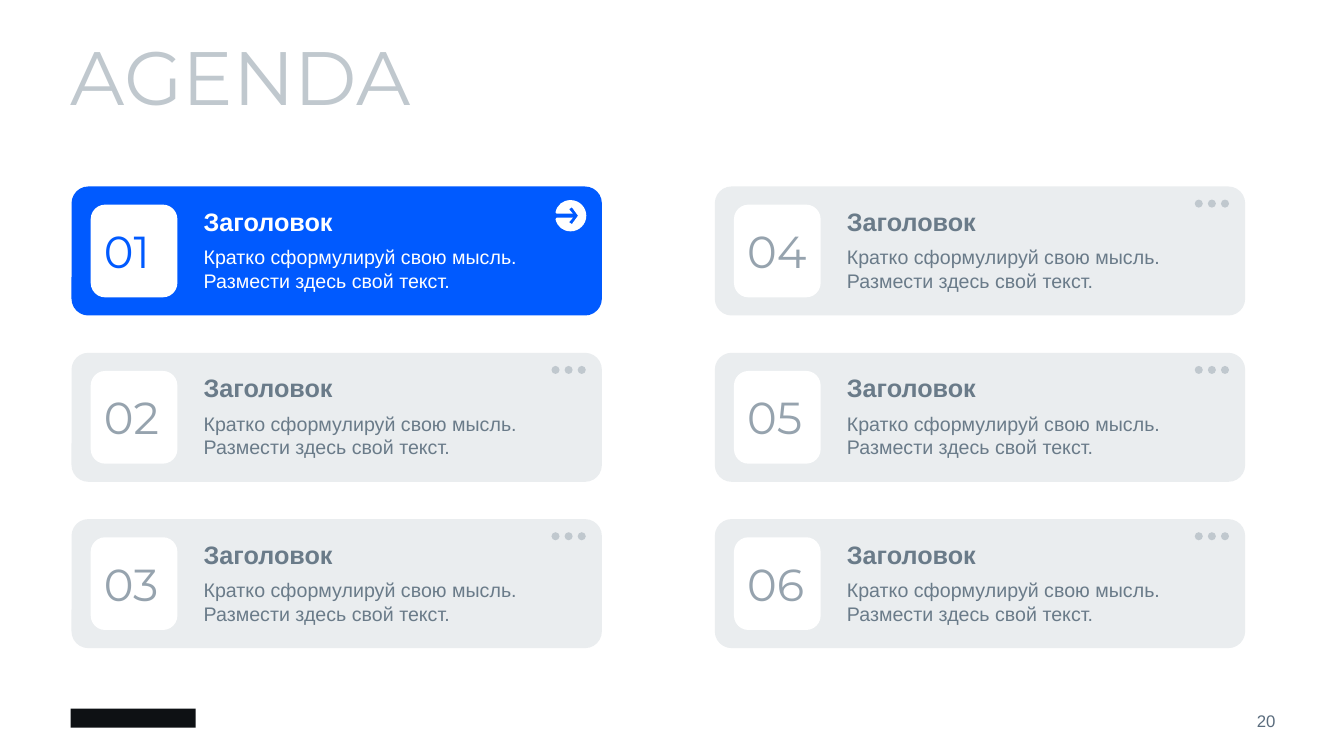
from lxml import etree
from pptx import Presentation
from pptx.dml.color import RGBColor
from pptx.enum import shapes, text
from pptx.oxml.ns import qn
from pptx.util import Inches, Pt

TITLE = "AGENDA"
PAGE = "20"
HEADING = "Заголовок"
BODY = "Кратко сформулируй свою мысль. Размести здесь свой текст."
TOPICS = [(number, HEADING, BODY) for number in ("01", "02", "03", "04", "05", "06")]
ACTIVE = "01"

THEME = {
    "display": "Montserrat", "plain": "Arial",
    "title_size": 54, "number_size": 32, "heading_size": 18, "body_size": 14, "page_size": 12,
    "white": "FFFFFF", "pale": "C0C8CE", "page": "5A6C7D", "brand": "0E1114",
    "active": {"card": "005AFF", "number": "005AFF", "text": "FFFFFF"},
    "idle": {"card": "EAEDEF", "number": "96A3AE", "text": "6A7B89"},
}

ROWS = 3
LEFT, TOP = 0.71, 1.85
COLUMN_STEP, ROW_STEP = 6.38, 1.65
CARD_W, CARD_H = 5.26, 1.28
PLATE_W, PLATE_H = 0.86, 0.92
DOT_SIZE, DOT_STEP = 0.08, 0.13
ARROW_SIZE = 0.31
CIRCLE = [(0, -1), (0.55, -1), (1, -0.55), (1, 0), (1, 0.55), (0.55, 1), (0, 1),
          (-0.55, 1), (-1, 0.55), (-1, 0), (-1, -0.55), (-0.55, -1), (0, -1)]
ARROW_DISC = [(-0.97, 0.22), (-0.86, 0.7), (-0.5, 1), (0, 1), (0.55, 1), (1, 0.55), (1, 0),
              (1, -0.55), (0.55, -1), (0, -1), (-0.5, -1), (-0.86, -0.7), (-0.97, -0.22)]
ARROW_NOTCH = [(-0.9, -0.13), (0.14, -0.13), (-0.1, -0.42), (0.08, -0.54), (0.47, 0),
               (0.08, 0.54), (-0.1, 0.42), (0.14, 0.13), (-0.9, 0.13)]


def paint(shape, color):
    shape.fill.solid()
    shape.fill.fore_color.rgb = RGBColor.from_string(color)
    shape.line.fill.background()
    shape.shadow.inherit = False


def add_block(parent, kind, box, color, corner=None):
    block = parent.add_shape(kind, *map(Inches, box))
    paint(block, color)
    if corner is not None:
        block.adjustments[0] = corner


def add_text(parent, box, lines, color, align=None, anchor=text.MSO_ANCHOR.TOP):
    frame = parent.add_textbox(*map(Inches, box)).text_frame
    frame.word_wrap = True
    frame.vertical_anchor = anchor
    frame.margin_left = frame.margin_right = frame.margin_top = frame.margin_bottom = 0
    frame.text = "\n".join(line[0] for line in lines)
    for paragraph, (_, face, size, bold, spacing, after) in zip(frame.paragraphs, lines):
        paragraph.alignment = align
        paragraph.line_spacing = spacing
        paragraph.space_after = Pt(after)
        font = paragraph.runs[0].font
        font.name, font.size, font.bold = face, Pt(size), bold
        font.color.rgb = RGBColor.from_string(color)


def place(points, x, y, size):
    return [(Inches(x + dx * size / 2), Inches(y + dy * size / 2)) for dx, dy in points]


def add_outline(parent, contours, color, straight=0):
    builder = parent.build_freeform(*contours[0][0], scale=1.0)
    for index, contour in enumerate(contours):
        if index:
            builder.move_to(*contour[0])
        builder.add_line_segments(contour[1:], close=True)
    outline = builder.convert_to_shape()
    paint(outline, color)
    steps = list(outline._element.iter(qn("a:lnTo")))
    curved = steps[:len(steps) - straight]
    for start in range(0, len(curved), 3):
        curve = etree.Element(qn("a:cubicBezTo"))
        curved[start].addprevious(curve)
        for step in curved[start:start + 3]:
            curve.append(step[0])
            step.getparent().remove(step)


def add_arrow(parent, x, y):
    contour = place(ARROW_DISC + ARROW_NOTCH, x, y, ARROW_SIZE)
    add_outline(parent, [contour], THEME["white"], len(ARROW_NOTCH))


def add_dots(parent, x, y):
    contours = [place(CIRCLE, x + i * DOT_STEP, y, DOT_SIZE) for i in range(3)]
    add_outline(parent, contours, THEME["pale"])


def add_card(parent, x, y, topic):
    number, heading, body = topic
    colors = THEME["active" if number == ACTIVE else "idle"]
    rounded = shapes.MSO_SHAPE.ROUNDED_RECTANGLE
    add_block(parent, rounded, (x, y, CARD_W, CARD_H), colors["card"], 0.13)
    add_text(parent, (x + 1.31, y + 0.23, 3.23, 0.87), [
        (heading, THEME["plain"], THEME["heading_size"], True, 0.9, 6),
        (body, THEME["plain"], THEME["body_size"], False, 1.0, 6),
    ], colors["text"])
    if number == ACTIVE:
        add_arrow(parent, x + 4.95, y + 0.29)
    else:
        add_dots(parent, x + 4.8, y + 0.17)
    badge = parent.add_group_shape().shapes
    add_block(badge, rounded, (x + 0.19, y + 0.18, PLATE_W, PLATE_H), THEME["white"])
    add_text(badge, (x + 0.32, y + 0.43, 0.61, 0.42), [
        (number, THEME["display"], THEME["number_size"], False, 0.9, 6),
    ], colors["number"])


def main():
    deck = Presentation()
    deck.slide_width, deck.slide_height = Inches(13.33), Inches(7.5)
    agenda = deck.slides.add_slide(deck.slide_layouts[6]).shapes
    add_block(agenda, shapes.MSO_SHAPE.RECTANGLE, (0.7, 7.03, 1.24, 0.19), THEME["brand"])
    add_text(agenda, (11.66, 7.03, 0.99, 0.24), [
        (PAGE, THEME["plain"], THEME["page_size"], False, 1.0, 0),
    ], THEME["page"], text.PP_ALIGN.RIGHT, text.MSO_ANCHOR.MIDDLE)
    add_text(agenda, (0.7, 0.3, 7.2, 0.9), [
        (TITLE, THEME["display"], THEME["title_size"], False, 1.0, 0),
    ], THEME["pale"])
    for index, topic in enumerate(TOPICS):
        column, row = divmod(index, ROWS)
        add_card(agenda, LEFT + column * COLUMN_STEP, TOP + row * ROW_STEP, topic)
    deck.save("out.pptx")


if __name__ == "__main__":
    main()
